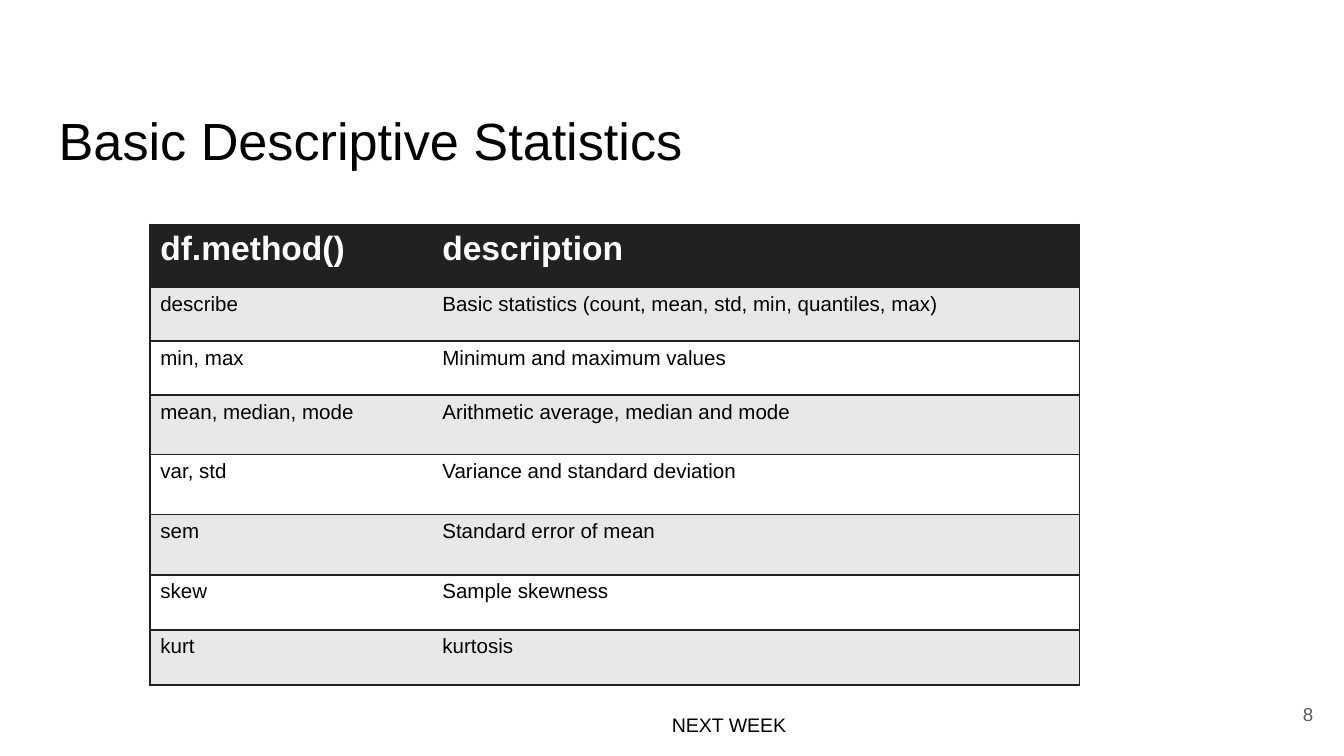
from lxml.etree import SubElement
from pptx import Presentation
from pptx.dml.color import RGBColor
from pptx.enum.text import MSO_ANCHOR, PP_ALIGN
from pptx.oxml.ns import qn
from pptx.util import Cm, Pt

BLACK = RGBColor(0x00, 0x00, 0x00)
WHITE = RGBColor(0xFF, 0xFF, 0xFF)
CHARCOAL = RGBColor(0x21, 0x21, 0x21)
BAND = RGBColor(0xE8, 0xE8, 0xE8)
GRAY = RGBColor(0x59, 0x59, 0x59)
FONT = "Arial"

METHODS = [
    ("df.method()", "description"),
    ("describe", "Basic statistics (count, mean, std, min, quantiles, max)"),
    ("min, max", "Minimum and maximum values"),
    ("mean, median, mode", "Arithmetic average, median and mode"),
    ("var, std", "Variance and standard deviation"),
    ("sem", "Standard error of mean"),
    ("skew", "Sample skewness"),
    ("kurt", "kurtosis"),
]
COL_WIDTHS = [5.33, 12.23]
ROW_HEIGHTS = [1.19, 1.02, 1.02, 1.12, 1.14, 1.14, 1.04, 1.04]


def style(p, size, color, bold=False):
    p.font.name = FONT
    p.font.size = Pt(size)
    p.font.bold = bold
    p.font.color.rgb = color


def add_text(slide, box, text, size, color=BLACK, align=PP_ALIGN.LEFT,
             anchor=MSO_ANCHOR.TOP, inset=0.25, wrap=True):
    tf = slide.shapes.add_textbox(*map(Cm, box)).text_frame
    tf.word_wrap = wrap
    tf.vertical_anchor = anchor
    tf.margin_left = tf.margin_right = Cm(0.25)
    tf.margin_top = tf.margin_bottom = Cm(inset)
    p = tf.paragraphs[0]
    p.text = text
    p.alignment = align
    style(p, size, color)


def set_borders(cell, sides):
    """Draw the named sides and clear the others."""
    tc_pr = cell._tc.get_or_add_tcPr()
    for side in "LRTB":
        ln = SubElement(tc_pr, qn(f"a:ln{side}"), w=str(Pt(1)))
        if side in sides:
            fill = SubElement(ln, qn("a:solidFill"))
            SubElement(fill, qn("a:srgbClr"), val=str(CHARCOAL))
        else:
            SubElement(ln, qn("a:noFill"))


def add_methods_table(slide, left, top):
    size = Cm(sum(COL_WIDTHS)), Cm(sum(ROW_HEIGHTS))
    table = slide.shapes.add_table(len(METHODS), len(COL_WIDTHS),
                                   Cm(left), Cm(top), *size).table
    for col, width in zip(table.columns, COL_WIDTHS):
        col.width = Cm(width)
    for row, height in zip(table.rows, ROW_HEIGHTS):
        row.height = Cm(height)

    for i, texts in enumerate(METHODS):
        header = i == 0
        for j, text in enumerate(texts):
            cell = table.cell(i, j)
            cell.margin_left = cell.margin_right = Cm(0.19)
            cell.margin_top = cell.margin_bottom = Cm(0.1)
            # Borders precede the fill in the cell properties
            set_borders(cell, "LTB" if j == 0 else "RTB")
            cell.fill.solid()
            cell.fill.fore_color.rgb = CHARCOAL if header else BAND if i % 2 else WHITE
            p = cell.text_frame.paragraphs[0]
            p.text = text
            style(p, 18 if header else 11, WHITE if header else BLACK, header)


def build_statistics_slide(prs):
    slide = prs.slides.add_slide(prs.slide_layouts[6])
    # Title
    add_text(slide, (0.86, 1.8, 23.67, 1.6), "Basic Descriptive Statistics", 28)
    # Slide number
    add_text(slide, (23.55, 12.95, 1.52, 1.09), "8", 10, GRAY,
             PP_ALIGN.RIGHT, MSO_ANCHOR.MIDDLE)
    # Methods and what they compute
    add_methods_table(slide, 2.84, 4.24)
    # Closing note
    add_text(slide, (12.45, 13.34, 2.72, 0.71), "NEXT WEEK", 10.5,
             inset=0.13, wrap=False)


def main():
    prs = Presentation()
    prs.slide_width, prs.slide_height = Cm(25.4), Cm(14.29)
    build_statistics_slide(prs)
    prs.save("out.pptx")


if __name__ == "__main__":
    main()
